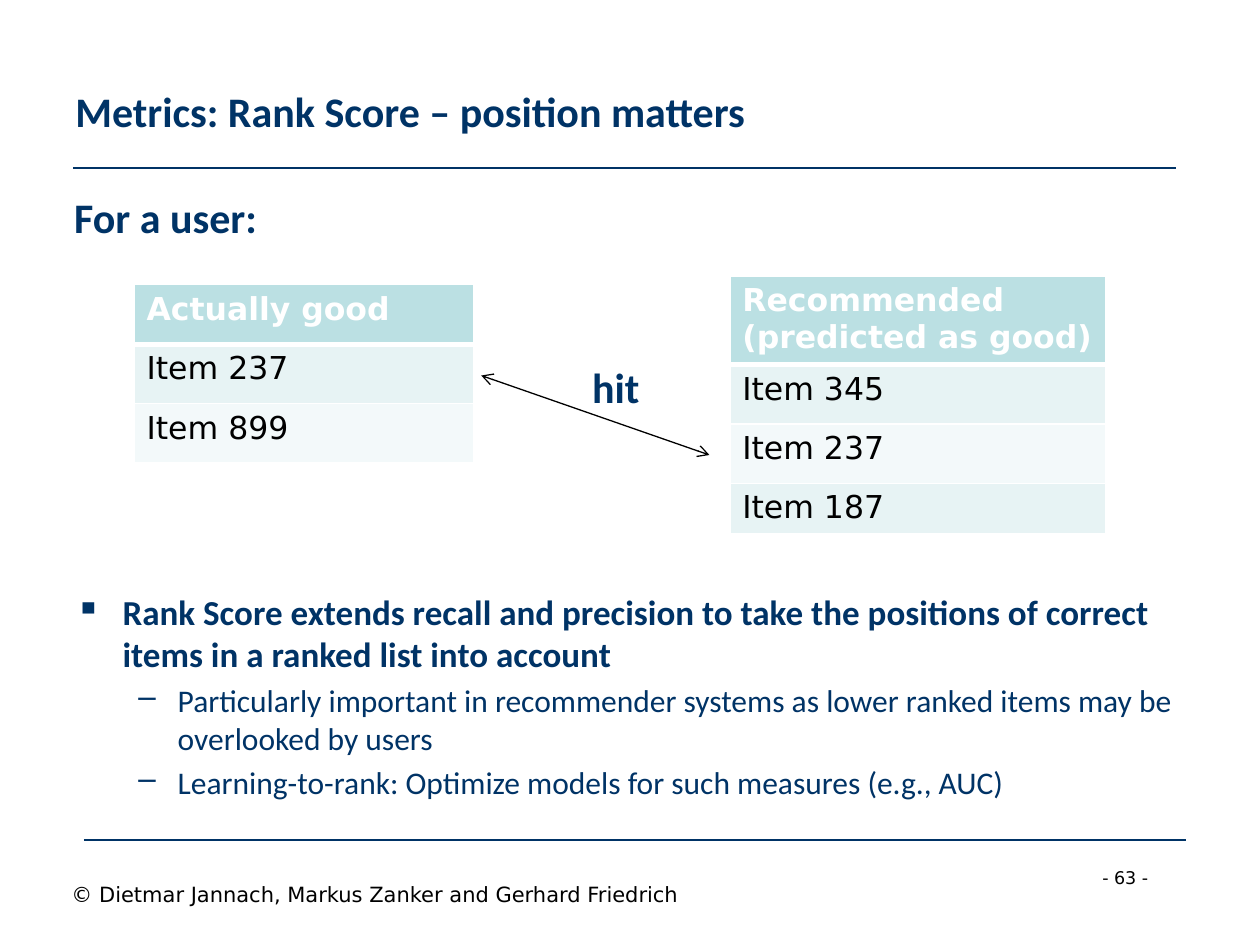
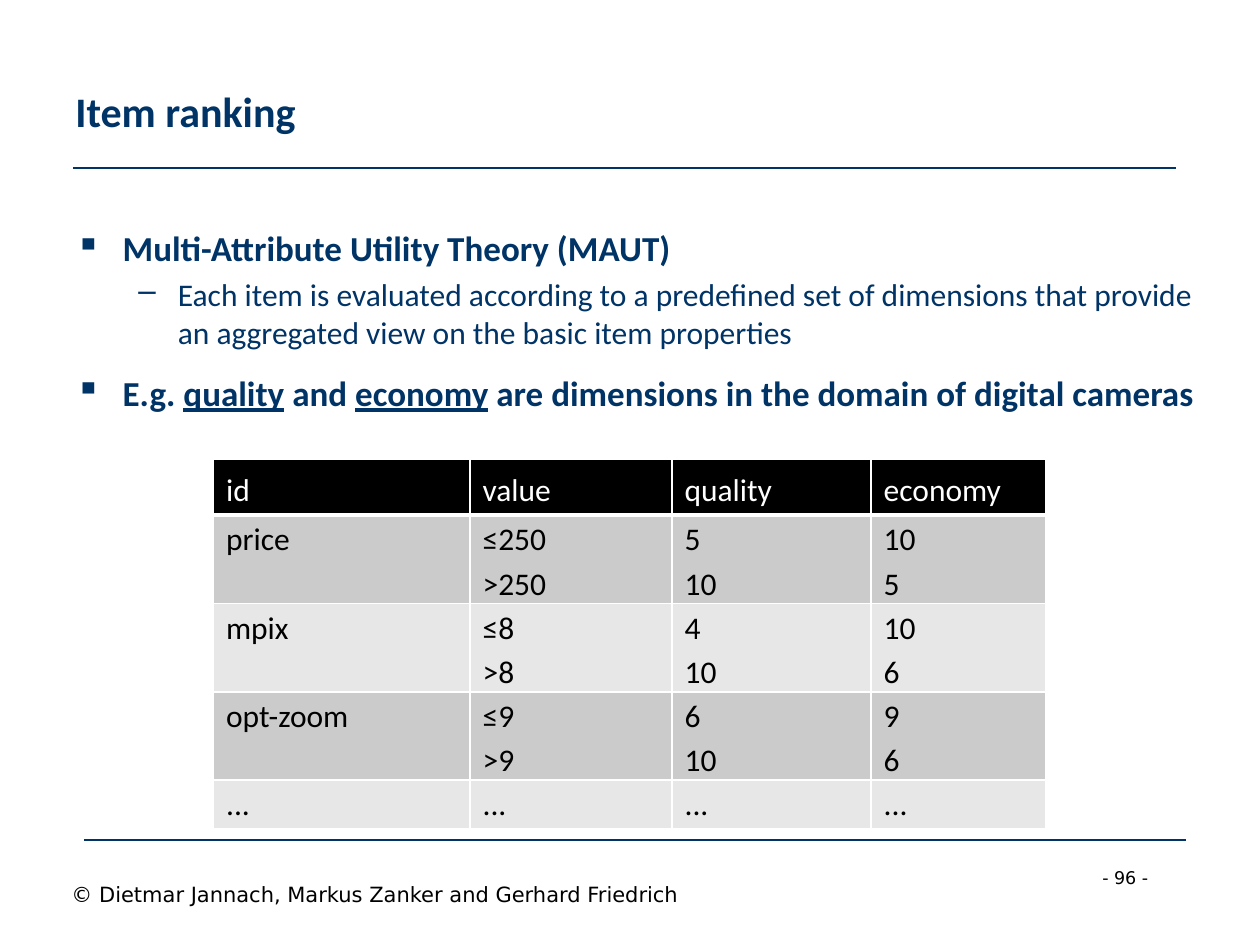
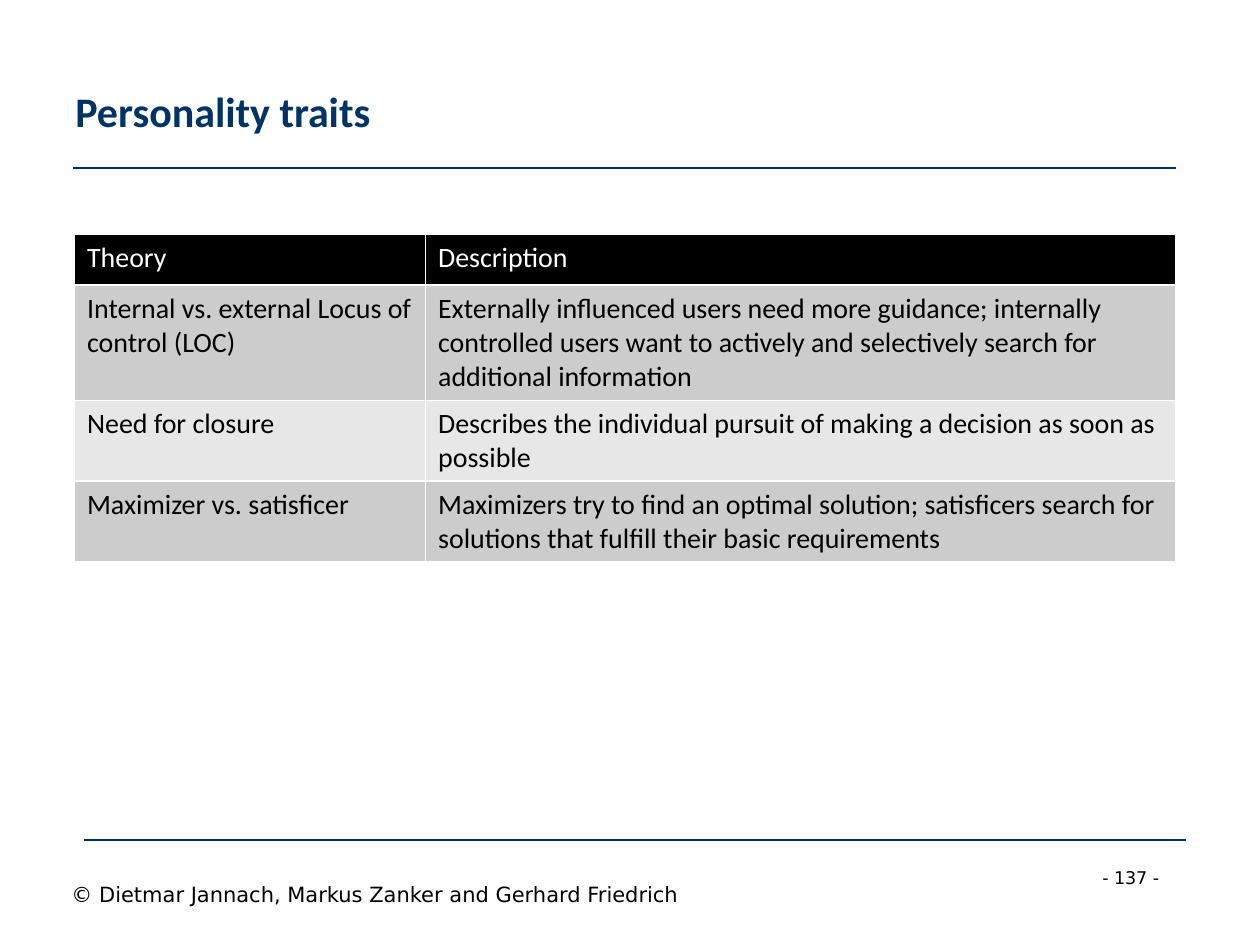
from lxml.etree import SubElement
from pptx import Presentation
from pptx.dml.color import RGBColor
from pptx.enum.shapes import MSO_CONNECTOR
from pptx.enum.text import MSO_ANCHOR
from pptx.oxml.ns import qn
from pptx.util import Pt

COLORS = {
    "navy": "003366", "black": "000000", "white": "FFFFFF",
    "teal": "BBE0E3", "teal_mid": "E7F3F4", "teal_pale": "F3F9FA",
    "gray": "CBCBCB", "gray_plain": "CCCCCC", "gray_pale": "E7E7E7",
}
FONTS = {
    "title": ("navy", {"name": "Calibri", "size": Pt(24), "bold": True}),
    "point": ("navy", {"name": "Calibri", "size": Pt(20), "bold": True}),
    "detail": ("navy", {"name": "Calibri", "size": Pt(18), "bold": False}),
    "page": ("black", {"name": "DejaVu Sans", "size": Pt(10)}),
    "copyright": ("black", {"name": "DejaVu Sans", "size": Pt(12)}),
    "item_head": ("white", {"name": "DejaVu Sans", "size": Pt(18), "bold": True}),
    "item": ("black", {"name": "DejaVu Sans", "size": Pt(18), "bold": False}),
    "camera_head": ("white", {"name": "Calibri", "size": Pt(18), "bold": False}),
    "camera": ("black", {"name": "Calibri", "size": Pt(18), "bold": False}),
    "trait_head": ("white", {"name": "Calibri", "size": Pt(16), "bold": False}),
    "trait": ("black", {"name": "Calibri", "size": Pt(16), "bold": False}),
}
# style: (level, bullet, left margin, hanging indent, space before)
BULLETS = {
    "point": (0, "▪", 27, 27, 12),
    "detail": (1, "–", 58.5, 22.5, 3.6),
}
COPYRIGHT = "© Dietmar Jannach, Markus Zanker and Gerhard Friedrich"


def add_text(slide, box, paragraphs, wrap=True, anchor=MSO_ANCHOR.TOP):
    """Add (style, text) paragraphs; text between underscores is underlined."""
    frame = slide.shapes.add_textbox(*map(Pt, box)).text_frame
    frame.word_wrap = wrap
    frame.vertical_anchor = anchor
    for number, (style, text) in enumerate(paragraphs):
        paragraph = frame.add_paragraph() if number else frame.paragraphs[0]
        if style in BULLETS:
            level, bullet, margin, hanging, before = BULLETS[style]
            paragraph.level = level
            properties = paragraph._p.get_or_add_pPr()
            properties.set("marL", str(Pt(margin)))
            properties.set("indent", str(-Pt(hanging)))
            SubElement(properties, qn("a:buChar"), char=bullet)
            if number:
                paragraph.space_before = Pt(before)
        color, font_format = FONTS[style]
        for part, words in enumerate(text.split("_")):
            run = paragraph.add_run()
            run.text = words
            run.font.color.rgb = RGBColor.from_string(COLORS[color])
            for attribute, value in font_format.items():
                setattr(run.font, attribute, value)
            if part % 2:
                run.font.underline = True


def add_grid(slide, corner, widths, heights, rows, style, fills,
             head_rule=3, line_spacing=None):
    """Add a table; fills names the header colour, then the two band colours."""
    table = slide.shapes.add_table(
        len(rows), len(widths), *map(Pt, (*corner, sum(widths), sum(heights)))).table
    table.horz_banding = False
    for column, width in zip(table.columns, widths):
        column.width = Pt(width)
    for r, (height, texts) in enumerate(zip(heights, rows)):
        table.rows[r].height = Pt(height)
        color, font_format = FONTS[style if r else style + "_head"]
        fill = fills[0] if r == 0 else fills[2 - r % 2]
        for c, text in enumerate(texts):
            cell = table.cell(r, c)
            rules = {"lnL": 1, "lnR": 1, "lnT": head_rule if r == 1 else 1,
                     "lnB": 1 if r else head_rule}
            for side, weight in rules.items():
                border = SubElement(cell._tc.get_or_add_tcPr(), qn("a:" + side),
                                    w=str(Pt(weight)))
                paint = SubElement(border, qn("a:solidFill"))
                SubElement(paint, qn("a:srgbClr"), val=COLORS["white"])
            cell.fill.solid()
            cell.fill.fore_color.rgb = RGBColor.from_string(COLORS[fill])
            if line_spacing and r:
                cell.margin_top = cell.margin_bottom = 0
            cell.text = text
            for paragraph in cell.text_frame.paragraphs:
                paragraph.line_spacing = line_spacing
                for run in paragraph.runs:
                    run.font.color.rgb = RGBColor.from_string(COLORS[color])
                    for attribute, value in font_format.items():
                        setattr(run.font, attribute, value)


presentation = Presentation()
presentation.slide_width = Pt(720)
presentation.slide_height = Pt(540)

# Title, rules and footer on every slide; the hit arrow on the first
slides = []
for title, page in [("Metrics: Rank Score – position matters", 63),
                    ("Item ranking", 96), ("Personality traits", 137)]:
    slide = presentation.slides.add_slide(presentation.slide_layouts[6])
    slides.append(slide)
    add_text(slide, (36, 18, 648, 90), [("title", title)], anchor=MSO_ANCHOR.MIDDLE)
    add_text(slide, (622.8, 491.8, 54.7, 19.4), [("page", f"- {page} -")])
    add_text(slide, (33.8, 500.4, 456.5, 21.6), [("copyright", COPYRIGHT)])
rank_slide, maut_slide, traits_slide = slides

title_rule = (42, 96, 672, 96)
footer_rule = (48, 480, 678, 480)
hit_arrow = (275, 214.6, 405.4, 260)
lines = [(slide, ends, "navy") for slide in slides for ends in (title_rule, footer_rule)]
lines.append((rank_slide, hit_arrow, "black"))
for slide, ends, color in lines:
    line = slide.shapes.add_connector(MSO_CONNECTOR.STRAIGHT, *map(Pt, ends))
    line.line.color.rgb = RGBColor.from_string(COLORS[color])
    line.line.width = Pt(0.75)
    SubElement(line._element.spPr, qn("a:effectLst"))
    if ends == hit_arrow:
        for end in ("a:headEnd", "a:tailEnd"):
            SubElement(line.line._get_or_add_ln(), qn(end), type="arrow")

# Rank score
add_text(rank_slide, (35.3, 105.8, 120.2, 36), [("title", "For a user:")], wrap=False)
add_text(rank_slide, (331.2, 203, 41.8, 36), [("title", "hit")], wrap=False)
teal_bands = ("teal", "teal_mid", "teal_pale")
add_grid(rank_slide, (76.6, 162.7), [194.4], [34] * 3,
         [["Actually good"], ["Item 237"], ["Item 899"]], "item", teal_bands)
add_grid(rank_slide, (417, 157.9), [215], [48, 34, 34, 28],
         [["Recommended\n(predicted as good)"], ["Item 345"], ["Item 237"], ["Item 187"]],
         "item", teal_bands)
add_text(rank_slide, (36, 334, 648, 150), [
    ("point", "Rank Score extends recall and precision to take the positions of correct "
              "items in a ranked list into account"),
    ("detail", "Particularly important in recommender systems as lower ranked items may be "
               "overlooked by users"),
    ("detail", "Learning-to-rank: Optimize models for such measures (e.g., AUC)"),
])

# Item ranking
add_text(maut_slide, (36, 126, 658.8, 356), [
    ("point", "Multi-Attribute Utility Theory (MAUT)"),
    ("detail", "Each item is evaluated according to a predefined set of dimensions that "
               "provide an aggregated view on the basic item properties"),
    ("point", "E.g. _quality_ and _economy_ are dimensions in the domain of digital cameras"),
])
add_grid(maut_slide, (122, 262.3), [146.6, 115.4, 113.8, 100], [31, 50.5, 50.5, 50.5, 28], [
    ["id", "value", "quality", "economy"],
    ["price", "≤250\n>250", "5\n10", "10\n5"],
    ["mpix", "≤8\n>8", "4\n10", "10\n6"],
    ["opt-zoom", "≤9\n>9", "6\n10", "9\n6"],
    ["..."] * 4,
], "camera", ("black", "gray", "gray_pale"), line_spacing=1.15)

# Personality traits
add_grid(traits_slide, (42.6, 134), [200.6, 428.6], [29, 66, 46, 46], [
    ["Theory", "Description"],
    ["Internal vs. external Locus of control (LOC)",
     "Externally influenced users need more guidance; internally controlled users want to "
     "actively and selectively search for additional information"],
    ["Need for closure",
     "Describes the individual pursuit of making a decision as soon as possible"],
    ["Maximizer vs. satisficer",
     "Maximizers try to find an optimal solution; satisficers search for solutions that "
     "fulfill their basic requirements"],
], "trait", ("black", "gray_plain", "gray_pale"), head_rule=1)

presentation.save("out.pptx")
